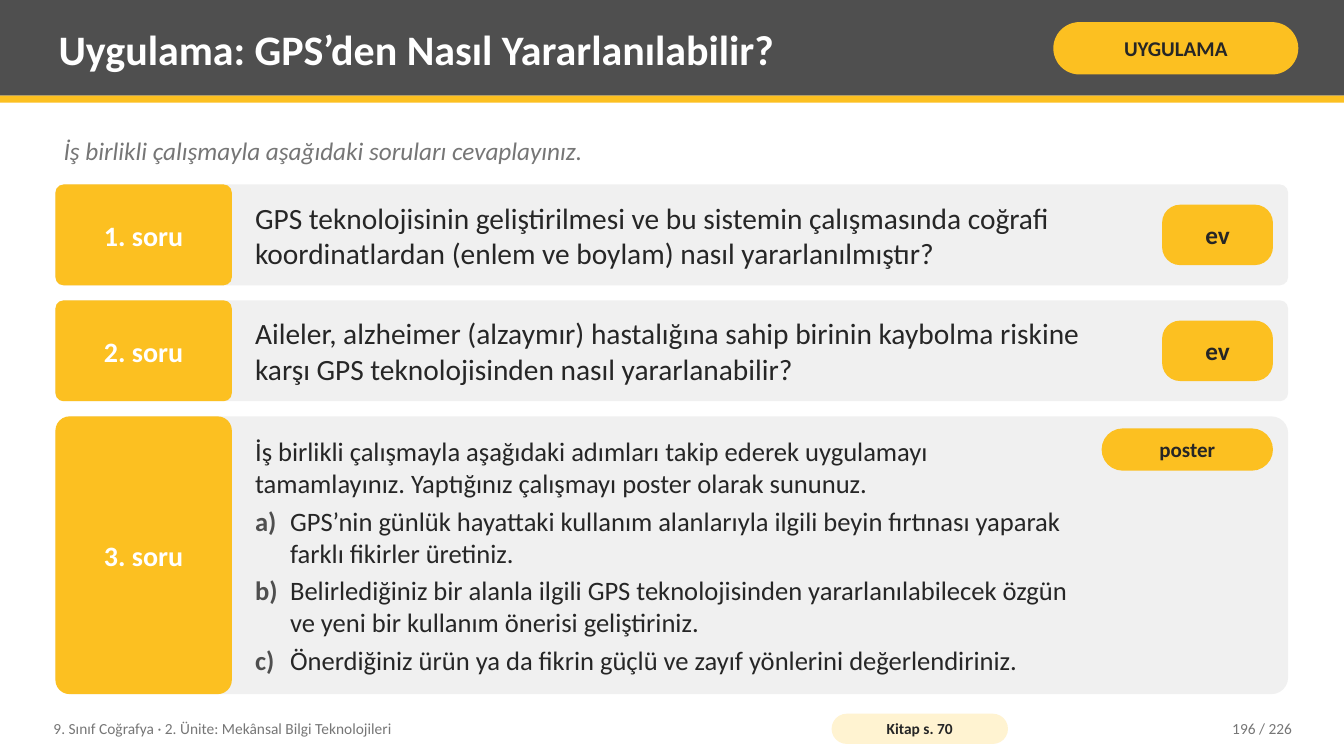
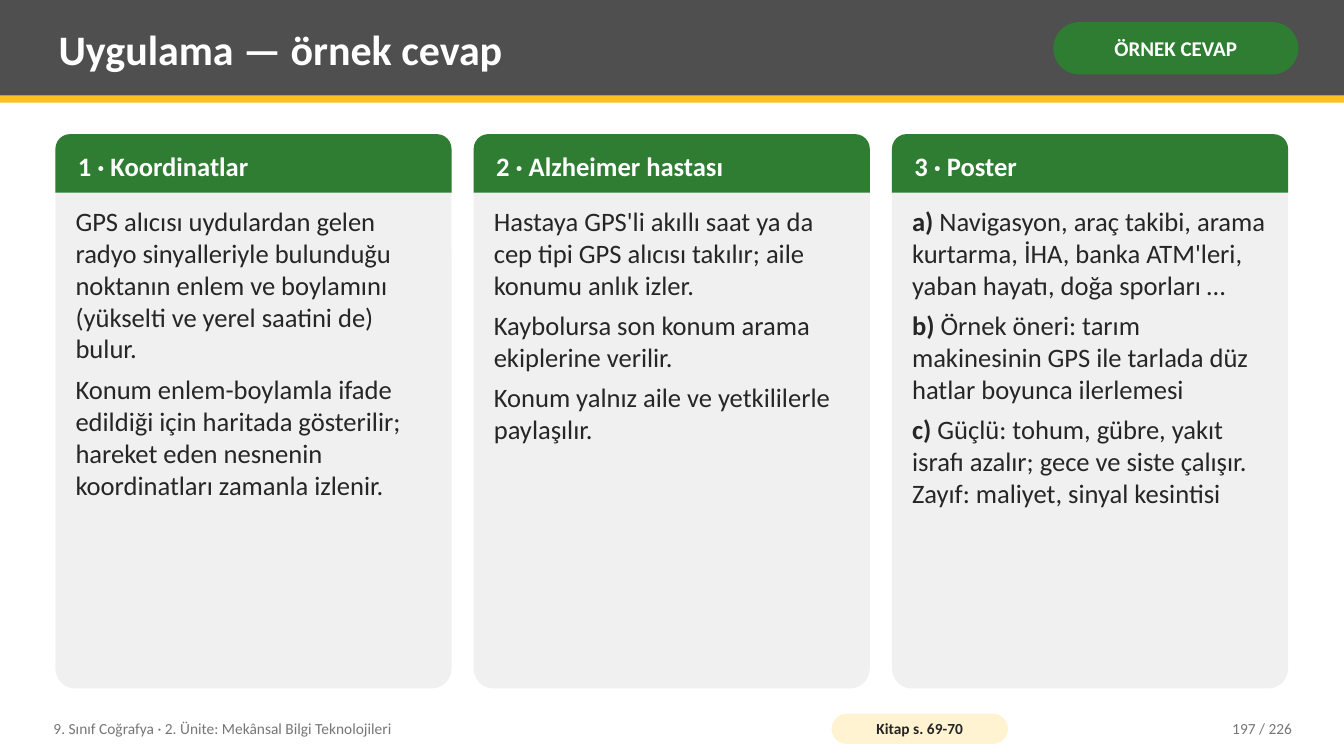
"""Build two geography lesson slides: a task and its sample answer."""
from collections import namedtuple

import pptx
import pptx.dml.color
import pptx.enum.shapes
import pptx.enum.text
import pptx.util

Pt = pptx.util.Pt
Shape = pptx.enum.shapes.MSO_SHAPE
Anchor = pptx.enum.text.MSO_ANCHOR
Align = pptx.enum.text.PP_ALIGN
Box = namedtuple("Box", "left top width height")

FONT = "Calibri"
COLORS = {
    "band": "4F4F4F",
    "accent": "FCC021",
    "answer": "2E7D32",
    "panel": "F0F0F0",
    "page_ref": "FFF3D1",
    "ink": "262626",
    "muted": "767676",
    "white": "FFFFFF",
}
PAGE = Box(0, 0, 960, 540)
HEADER = Box(0, 0, 960, 73.4)
CONTENT = Box(39.6, 95.8, 880.5, 400)
FOOTER = Box(32.4, 506.9, 896.4, 26)
UNIT = "9. Sınıf Coğrafya · 2. Ünite: Mekânsal Bilgi Teknolojileri"

INSTRUCTION = "İş birlikli çalışmayla aşağıdaki soruları cevaplayınız."
QUESTIONS = [
    ("1. soru", "ev", "GPS teknolojisinin geliştirilmesi ve bu sistemin çalışmasında coğrafi "
     "koordinatlardan (enlem ve boylam) nasıl yararlanılmıştır?"),
    ("2. soru", "ev", "Aileler, alzheimer (alzaymır) hastalığına sahip birinin kaybolma riskine "
     "karşı GPS teknolojisinden nasıl yararlanabilir?"),
]
POSTER_STEPS = [
    "İş birlikli çalışmayla aşağıdaki adımları takip ederek uygulamayı tamamlayınız. "
    "Yaptığınız çalışmayı poster olarak sununuz.",
    ("a)", "\tGPS’nin günlük hayattaki kullanım alanlarıyla ilgili beyin fırtınası yaparak "
     "farklı fikirler üretiniz."),
    ("b)", "\tBelirlediğiniz bir alanla ilgili GPS teknolojisinden yararlanılabilecek özgün "
     "ve yeni bir kullanım önerisi geliştiriniz."),
    ("c)", "\tÖnerdiğiniz ürün ya da fikrin güçlü ve zayıf yönlerini değerlendiriniz."),
]
ANSWERS = [
    ("1 · Koordinatlar", [
        "GPS alıcısı uydulardan gelen radyo sinyalleriyle bulunduğu noktanın enlem ve "
        "boylamını (yükselti ve yerel saatini de) bulur.",
        "Konum enlem-boylamla ifade edildiği için haritada gösterilir; hareket eden nesnenin "
        "koordinatları zamanla izlenir.",
    ]),
    ("2 · Alzheimer hastası", [
        "Hastaya GPS'li akıllı saat ya da cep tipi GPS alıcısı takılır; aile konumu anlık izler.",
        "Kaybolursa son konum arama ekiplerine verilir.",
        "Konum yalnız aile ve yetkililerle paylaşılır.",
    ]),
    ("3 · Poster", [
        ("a)", " Navigasyon, araç takibi, arama kurtarma, İHA, banka ATM'leri, yaban hayatı, "
         "doğa sporları …"),
        ("b)", " Örnek öneri: tarım makinesinin GPS ile tarlada düz hatlar boyunca ilerlemesi"),
        ("c)", " Güçlü: tohum, gübre, yakıt israfı azalır; gece ve siste çalışır. "
         "Zayıf: maliyet, sinyal kesintisi"),
    ]),
]


def rgb(name):
    """Return the palette colour as an RGB value."""
    return pptx.dml.color.RGBColor.from_string(COLORS[name])


def write_text(shape, paragraphs, size=19, color="ink", bold=False, italic=False,
               align=Align.LEFT, anchor=Anchor.MIDDLE, inset=(5.8, 2.9),
               gap=0, label_color="ink", hanging=0):
    """Fill a shape with paragraphs; a (label, text) pair gets a bold label."""
    frame = shape.text_frame
    frame.word_wrap = True
    frame.vertical_anchor = anchor
    frame.margin_left = frame.margin_right = Pt(inset[0])
    frame.margin_top = frame.margin_bottom = Pt(inset[1])
    for index, content in enumerate(paragraphs):
        paragraph = frame.paragraphs[0] if index == 0 else frame.add_paragraph()
        paragraph.alignment = align
        if index < len(paragraphs) - 1:
            paragraph.space_after = Pt(gap)
        if isinstance(content, str):
            parts = [(content, color, bold)]
        else:
            label, text = content
            parts = [(label, label_color, True), (text, color, bold)]
            if hanging:
                properties = paragraph._p.get_or_add_pPr()
                properties.set("marL", str(Pt(hanging)))
                properties.set("indent", str(-Pt(hanging)))
        for text, part_color, part_bold in parts:
            run = paragraph.add_run()
            run.text = text
            run.font.name = FONT
            run.font.size = Pt(size)
            run.font.bold = part_bold
            run.font.italic = italic
            run.font.color.rgb = rgb(part_color)


def add_text(slide, box, paragraphs, **style):
    """Place a text box and write into it."""
    write_text(slide.shapes.add_textbox(*map(Pt, box)), paragraphs, **style)


def add_block(slide, box, fill, corner=None, kind=Shape.ROUNDED_RECTANGLE):
    """Place a flat filled shape without outline."""
    block = slide.shapes.add_shape(kind, *map(Pt, box))
    block.shadow.inherit = False
    block.fill.solid()
    block.fill.fore_color.rgb = rgb(fill)
    block.line.fill.background()
    if corner is not None:
        block.adjustments[0] = corner
    return block


def add_pill(slide, box, text, size, fill="accent", color="ink", corner=0.5):
    """Place a rounded badge with a bold centred caption."""
    write_text(add_block(slide, box, fill, corner), [text], size=size, color=color,
               bold=True, align=Align.CENTER, inset=(2.5, 0))


def add_header(slide, box, title, tag, tag_fill, tag_color):
    """Draw the title band, its accent rule and the slide tag."""
    left, top, width, height = box
    rule = 5
    add_block(slide, Box(left, top, width, height - rule), "band", kind=Shape.RECTANGLE)
    add_block(slide, Box(left, top + height - rule, width, rule), "accent", kind=Shape.RECTANGLE)
    add_text(slide, Box(left + 36, top + 5, 702, 59), [title], size=30, color="white", bold=True)
    add_pill(slide, Box(left + width - 207.6, top + 15.8, 175, 37.4), tag, 15, tag_fill, tag_color)


def add_footer(slide, box, page_ref, page):
    """Draw the unit name, book reference and page count."""
    left, top, width, height = box
    add_text(slide, Box(left, top, 547, height), [UNIT], size=11, color="muted")
    add_pill(slide, Box(left + 561.6, top + 2.9, 126, 21.6), page_ref, 11, "page_ref")
    add_text(slide, Box(left + width - 115, top, 115, height), [f"{page} / 226"], size=11,
             color="muted", align=Align.RIGHT)


def add_question_panel(slide, box, label, corner):
    """Draw a question row's panel and label, and return its text area."""
    left, top, width, height = box
    add_block(slide, box, "panel", corner)
    write_text(add_block(slide, Box(left, top, 126, height), "accent", 0.08), [label],
               size=20, color="white", bold=True, align=Align.CENTER)
    return Box(left + 136.8, top, width - 147.6, height)


def add_question(slide, box, label, badge, question):
    """Draw a short question with its badge centred at the right."""
    left, top, width, height = add_question_panel(slide, box, label, 0.08)
    add_text(slide, Box(left, top, width - 93.6, height), [question], size=21)
    add_pill(slide, Box(left + width - 79.2, top + (height - 43.2) / 2, 79.2, 43.2),
             badge, 18, corner=0.3)


def add_poster_task(slide, box):
    """Draw the poster task with its lettered steps."""
    left, top, width, height = add_question_panel(slide, box, "3. soru", 0.06)
    add_pill(slide, Box(left + width - 122.4, top + 8.6, 122.4, 30.2), "poster", 15)
    add_text(slide, Box(left, top + 3.6, width - 129.6, height - 7.2), POSTER_STEPS,
             gap=4, label_color="band", hanging=25)


def add_answer_column(slide, box, heading, answer):
    """Draw an answer card with a coloured heading."""
    left, top, width, height = box
    heading_height = 41.8
    add_block(slide, box, "panel", 0.05)
    heading_bar = add_block(slide, Box(left, top, width, heading_height), "answer", 0.25,
                            Shape.ROUND_2_SAME_RECTANGLE)
    write_text(heading_bar, [heading], color="white", bold=True, inset=(13, 2.9))
    add_text(slide, Box(left + 8.6, top + heading_height + 5.8, width - 17.2,
                        height - heading_height - 11.6), answer, anchor=Anchor.TOP, gap=6)


def add_questions(slide, box):
    """Stack the instruction, the short questions and the poster task."""
    left, top, width, height = box
    add_text(slide, Box(left, top - 2.2, width, 32.4), [INSTRUCTION], size=18,
             color="muted", italic=True, anchor=Anchor.TOP)
    row_top, row_height, gap = top + 36, 72, 10.8
    for label, badge, question in QUESTIONS:
        add_question(slide, Box(left, row_top, width, row_height), label, badge, question)
        row_top += row_height + gap
    add_poster_task(slide, Box(left, row_top, width, top + height - row_top))


def add_answers(slide, box):
    """Set the answer cards side by side at equal gaps."""
    gap = 15.8
    width = (box.width - gap * (len(ANSWERS) - 1)) / len(ANSWERS)
    for index, (heading, answer) in enumerate(ANSWERS):
        add_answer_column(slide, Box(box.left + index * (width + gap), box.top, width,
                                     box.height - 4), heading, answer)


def add_lesson_slide(deck, title, tag, tag_fill, tag_color, add_body, page_ref, page):
    """Add a slide with the shared header and footer around a body."""
    slide = deck.slides.add_slide(deck.slide_layouts[6])
    add_header(slide, HEADER, title, tag, tag_fill, tag_color)
    add_body(slide, CONTENT)
    add_footer(slide, FOOTER, page_ref, page)


def main():
    """Build and save the deck."""
    deck = pptx.Presentation()
    deck.slide_width, deck.slide_height = Pt(PAGE.width), Pt(PAGE.height)
    add_lesson_slide(deck, "Uygulama: GPS’den Nasıl Yararlanılabilir?", "UYGULAMA",
                     "accent", "ink", add_questions, "Kitap s. 70", 196)
    add_lesson_slide(deck, "Uygulama — örnek cevap", "ÖRNEK CEVAP",
                     "answer", "white", add_answers, "Kitap s. 69-70", 197)
    deck.save("out.pptx")


if __name__ == "__main__":
    main()
